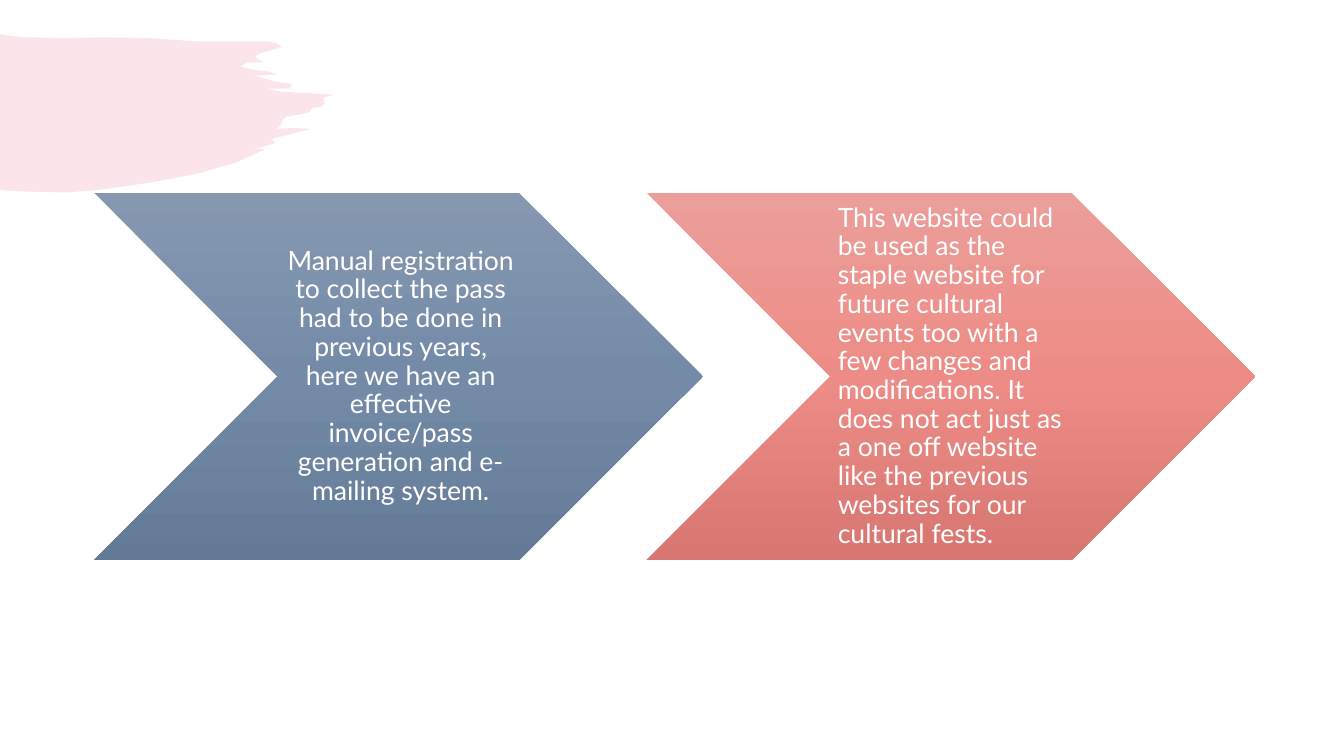
from copy import deepcopy
from dataclasses import dataclass

from pptx import Presentation
from pptx.dml.color import RGBColor
from pptx.enum.shapes import MSO_SHAPE
from pptx.enum.text import MSO_ANCHOR, PP_ALIGN
from pptx.oxml.ns import qn
from pptx.slide import Slide
from pptx.util import Inches, Pt

CHEVRON = MSO_SHAPE.CHEVRON
MIDDLE = MSO_ANCHOR.MIDDLE
LEFT, CENTER = PP_ALIGN.LEFT, PP_ALIGN.CENTER

WIDTH, HEIGHT = Inches(13.33), Inches(7.5)
COL, ROW = WIDTH / 100, HEIGHT / 100


@dataclass(frozen=True)
class Theme:
    font: str = "Lato"
    size: int = 19
    text: str = "FFFFFF"
    brush: str = "FCE5EA"
    blue: tuple[str, ...] = ("8698B0", "748BA8", "647B98")
    coral: tuple[str, ...] = ("EC9E9A", "ED8C86", "D87771")


@dataclass(frozen=True)
class Step:
    text: str
    shades: tuple[str, ...]
    align: PP_ALIGN


@dataclass(frozen=True)
class Row:
    """Placement of the arrows, in columns and rows of the slide."""
    left: float = 6.98
    top: float = 25.47
    wide: float = 45.31
    high: float = 48.67
    pitch: float = 41.11
    inset: float = 13.65
    measure: float = 18


THEME = Theme()
PLACE = Row()

STEPS = (
    Step("Manual registration to collect the pass had to be done in previous "
         "years, here we have an effective invoice/pass generation and "
         "e-mailing system.", THEME.blue, CENTER),
    Step("This website could be used as the staple website for future cultural "
         "events too with a few changes and modifications. It does not act "
         "just as a one off website like the previous websites for our "
         "cultural fests.", THEME.coral, LEFT),
)

# Outline of the brush stroke, in hundredths of an inch
STROKE = (
    (0, 34), (6, 35), (25, 37), (66, 38), (102, 37), (151, 38), (194, 41),
    (248, 41), (266, 41), (274, 43), (280, 47), (271, 49), (255, 54),
    (253, 57), (256, 59), (262, 62), (245, 62), (238, 66), (246, 68),
    (256, 70), (266, 71), (275, 74), (251, 75), (263, 78), (273, 81),
    (280, 82), (288, 83), (290, 85), (287, 88), (284, 88), (263, 88),
    (280, 91), (330, 94), (321, 97), (322, 103), (318, 106), (310, 107),
    (307, 111), (300, 113), (283, 116), (280, 120), (278, 125), (274, 128),
    (291, 127), (308, 128), (289, 133), (269, 138), (273, 142), (252, 148),
    (263, 148), (235, 161), (197, 172), (150, 181), (102, 188), (65, 191),
    (23, 190), (7, 189), (0, 188),
)


def color(code: str) -> RGBColor:
    return RGBColor.from_string(code)


def draw_brush(slide: Slide) -> None:
    pen = slide.shapes.build_freeform(*STROKE[0], scale=Inches(0.01))
    pen.add_line_segments(STROKE[1:], close=True)
    brush = pen.convert_to_shape()
    brush.shadow.inherit = False
    brush.fill.solid()
    brush.fill.fore_color.rgb = color(THEME.brush)
    brush.line.fill.background()


def draw_arrow(slide: Slide, left: float, shades: tuple[str, ...]) -> None:
    arrow = slide.shapes.add_shape(
        CHEVRON, round(left * COL), round(PLACE.top * ROW),
        round(PLACE.wide * COL), round(PLACE.high * ROW))
    arrow.shadow.inherit = False
    arrow.line.fill.background()
    arrow.fill.gradient()
    arrow.fill.gradient_angle = 270
    stops = arrow.element.spPr.find(".//" + qn("a:gsLst"))
    stops.append(deepcopy(stops[-1]))
    for i, (stop, shade) in enumerate(zip(arrow.fill.gradient_stops, shades)):
        stop.position = i / (len(shades) - 1)
        stop.color.rgb = color(shade)


def draw_text(slide: Slide, left: float, step: Step) -> None:
    box = slide.shapes.add_textbox(
        round(left * COL), round(PLACE.top * ROW),
        round(PLACE.measure * COL), round(PLACE.high * ROW))
    frame = box.text_frame
    frame.word_wrap = True
    frame.vertical_anchor = MIDDLE
    frame.margin_left = Inches(0.08)
    frame.margin_top = frame.margin_right = frame.margin_bottom = Inches(0.03)
    para = frame.paragraphs[0]
    para.alignment = step.align
    para.line_spacing = 0.9
    run = para.add_run()
    run.text = step.text
    run.font.name = THEME.font
    run.font.size = Pt(THEME.size)
    run.font.color.rgb = color(THEME.text)


def main() -> None:
    deck = Presentation()
    deck.slide_width, deck.slide_height = WIDTH, HEIGHT
    slide = deck.slides.add_slide(deck.slide_layouts.get_by_name("Blank"))
    draw_brush(slide)
    for i, step in enumerate(STEPS):
        left = PLACE.left + i * PLACE.pitch
        draw_arrow(slide, left, step.shades)
        draw_text(slide, left + PLACE.inset, step)
    deck.save("out.pptx")


if __name__ == "__main__":
    main()
